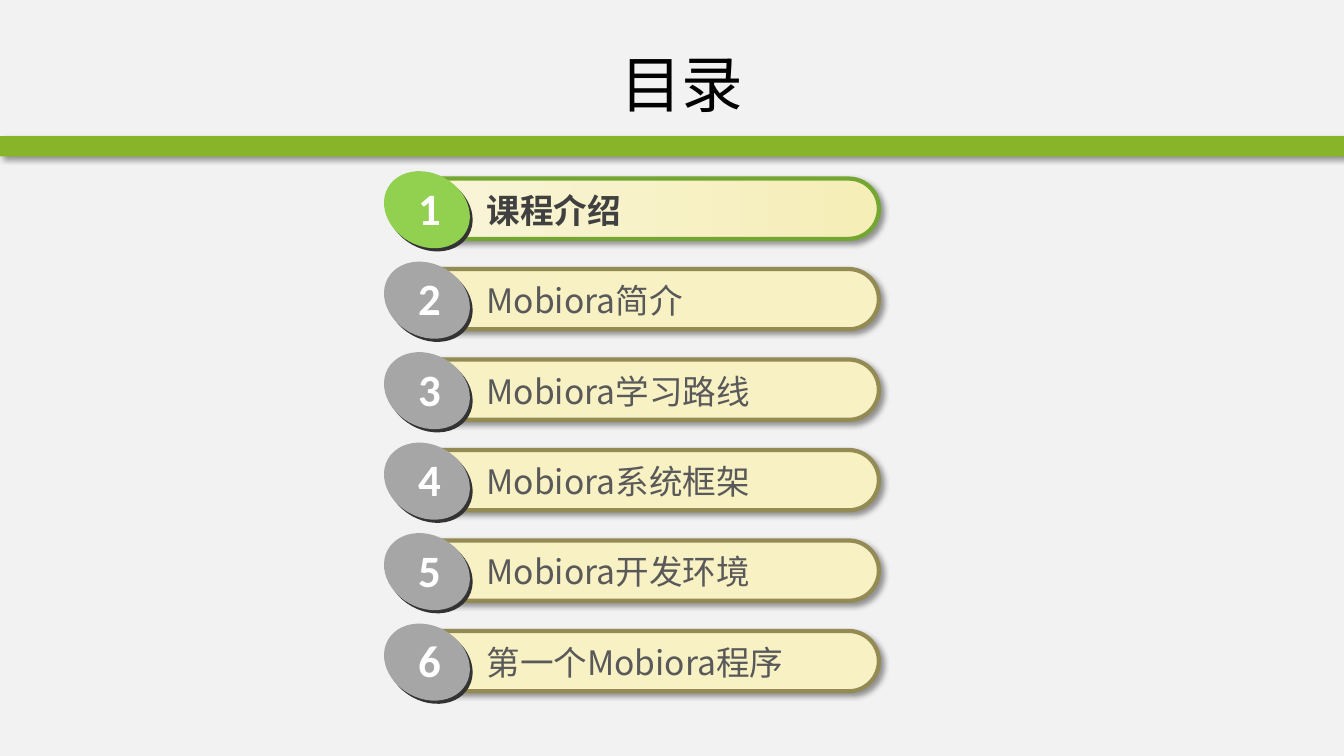
from lxml import etree
from pptx import Presentation, util as u
from pptx.dml.color import RGBColor
from pptx.enum import shapes, text
from pptx.oxml import ns


def color(value):
    """Turn a hex string into a colour."""
    return RGBColor.from_string(value)


class AgendaSlide:
    """Hold the style and the current slide, and draw its elements."""

    CJK = "Noto Sans CJK SC"
    FORMATS = {
        "title": {"size": u.Pt(44), "name": CJK},
        "current": {"size": u.Pt(24), "name": CJK, "bold": True},
        "topic": {"size": u.Pt(24), "name": CJK},
        "number": {"size": u.Pt(32), "name": "Calibri", "bold": True},
    }

    def __init__(self, presentation):
        self.slide = presentation.slides.add_slide(presentation.slide_layouts[6])
        self.target = self.slide.shapes
        background = self.slide.background.fill
        background.solid()
        background.fore_color.rgb = color("F2F2F2")

    def group(self):
        """Send the next elements to a new group."""
        self.target = self.slide.shapes.add_group_shape().shapes

    def shape(self, kind, box, fill, line=None):
        """Draw a preset shape with a plain or two-colour fill."""
        shape = self.target.add_shape(kind, *map(u.Cm, box))
        shape.shadow.inherit = False
        if isinstance(fill, tuple):
            shape.fill.gradient()
            shape.fill.gradient_angle = 0
            for position, (stop, value) in enumerate(zip(shape.fill.gradient_stops, fill)):
                stop.position = position
                stop.color.rgb = color(value)
        else:
            shape.fill.solid()
            shape.fill.fore_color.rgb = color(fill)
        if line:
            shape.line.color.rgb = color(line)
            shape.line.width = u.Pt(3)
        else:
            shape.line.fill.background()
        return shape

    def shadow(self, shape):
        """Cast a soft shadow to the lower right."""
        effects = shape._element.spPr.find(ns.qn("a:effectLst"))
        shadow = etree.SubElement(effects, ns.qn("a:outerShdw"), blurRad=str(u.Pt(4)),
                                  dist=str(u.Pt(3)), dir="2700000", algn="tl", rotWithShape="0")
        black = etree.SubElement(shadow, ns.qn("a:srgbClr"), val="000000")
        etree.SubElement(black, ns.qn("a:alpha"), val="40000")

    def ball(self, left, top, fill):
        """Draw a tilted ellipse."""
        ball = self.shape(shapes.MSO_SHAPE.OVAL, (left, top, 2.26, 1.83), fill)
        ball.rotation = 29.3

    def text(self, words, box, style, ink, wrap=True, **layout):
        """Write one line of text."""
        frame = self.target.add_textbox(*map(u.Cm, box)).text_frame
        frame.word_wrap = wrap
        frame.vertical_anchor = layout.get("anchor", text.MSO_ANCHOR.TOP)
        paragraph = frame.paragraphs[0]
        paragraph.alignment = layout.get("align", text.PP_ALIGN.LEFT)
        run = paragraph.add_run()
        run.text = words
        run.font.color.rgb = color(ink)
        for name, value in self.FORMATS[style].items():
            setattr(run.font, name, value)
        etree.SubElement(run._r.get_or_add_rPr(), ns.qn("a:ea"), typeface=run.font.name)

    def header(self, title):
        """Draw the title and the green band."""
        band = self.shape(shapes.MSO_SHAPE.RECTANGLE, (0, 3.43, 33.87, 0.51), "88B429")
        self.shadow(band)
        self.text(title, (3.53, 0.76, 27.31, 2.67), "title", "000000",
                  anchor=text.MSO_ANCHOR.MIDDLE, align=text.PP_ALIGN.CENTER)

    def entry(self, number, topic, current):
        """Draw one numbered agenda entry."""
        top = 4.37 + (number - 1) * 2.28
        self.group()
        fill = ("F9F5D9", "F5EEB7") if current else "F7F1C4"
        bar = self.shape(shapes.MSO_SHAPE.ROUNDED_RECTANGLE, (10.19, top + 0.13, 11.96, 1.52),
                         fill, "74A731" if current else "948A54")
        bar.adjustments[0] = 0.5
        self.shadow(bar)
        self.text(topic, (12.01, top + 0.28, 9.53, 1.3), "current" if current else "topic",
                  "404040" if current else "595959")
        self.ball(9.7, top + 0.08, "333333")
        self.ball(9.63, top, "92D050" if current else "A6A6A6")
        self.text(str(number), (10.29, top + 0.05, 1.09, 1.63), "number", "FFFFFF", wrap=False)


def main():
    """Build and save the agenda."""
    presentation = Presentation()
    presentation.slide_width = u.Cm(33.87)
    presentation.slide_height = u.Cm(19.05)
    agenda = AgendaSlide(presentation)
    agenda.header("目录")
    topics = ["课程介绍", "Mobiora简介", "Mobiora学习路线", "Mobiora系统框架",
              "Mobiora开发环境", "第一个Mobiora程序"]
    for number, topic in enumerate(topics, 1):
        agenda.entry(number, topic, current=number == 1)
    presentation.save("out.pptx")


if __name__ == "__main__":
    main()
